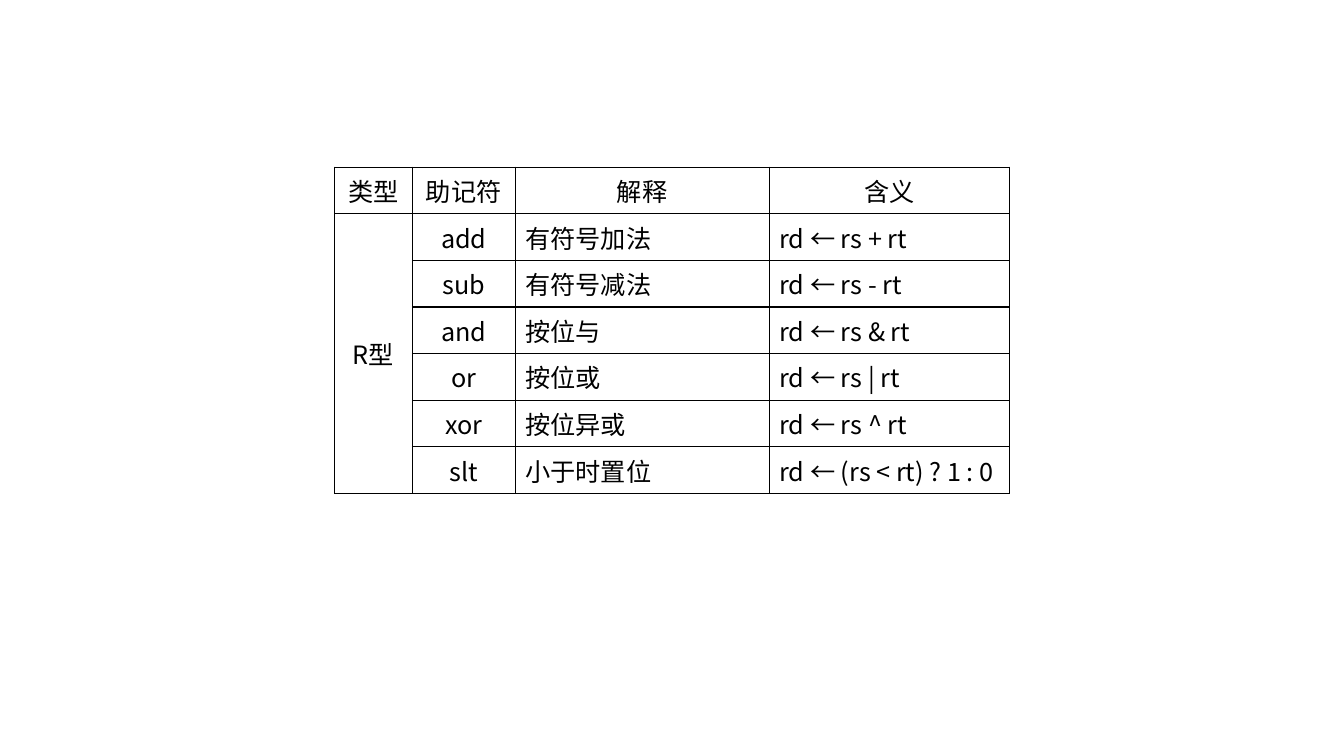
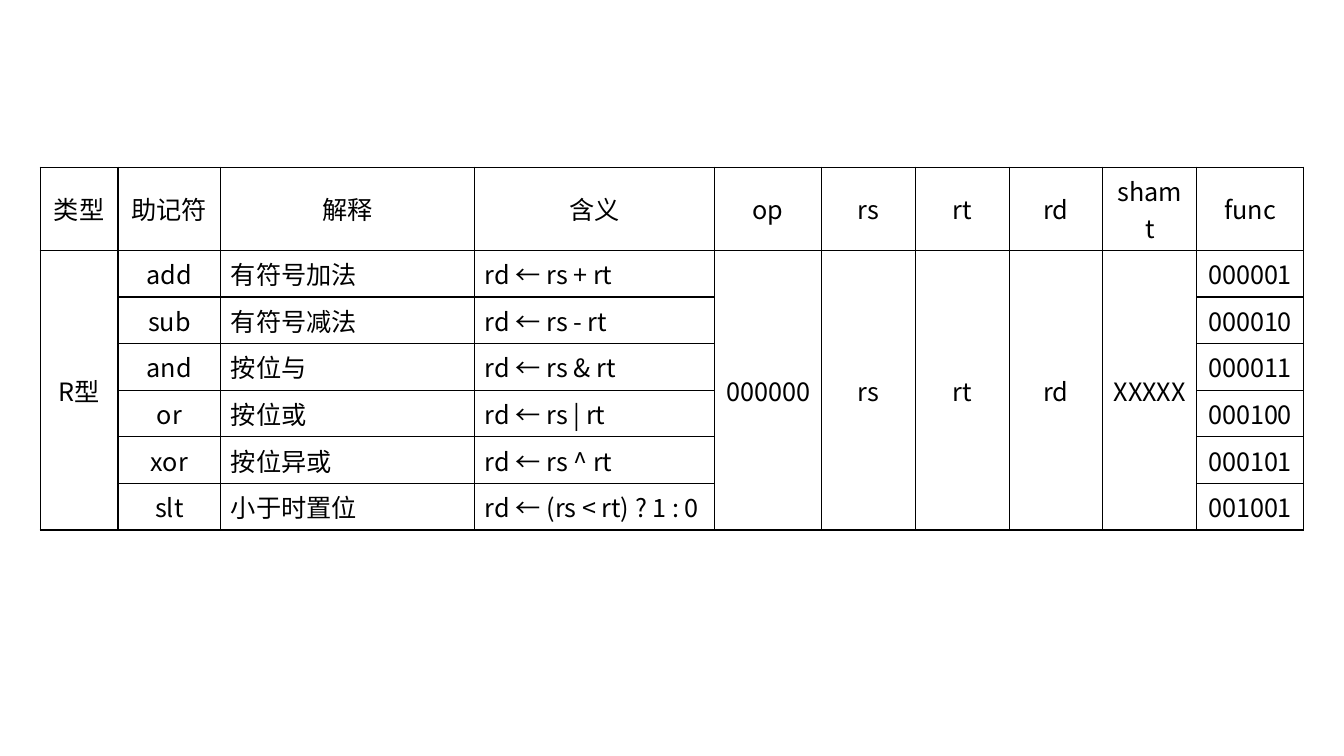
from dataclasses import dataclass

from lxml.etree import SubElement
from pptx import Presentation
from pptx.dml.color import RGBColor
from pptx.enum.text import MSO_ANCHOR, PP_ALIGN
from pptx.oxml import parse_xml
from pptx.oxml.ns import nsdecls, qn
from pptx.slide import Slide
from pptx.table import Table, _Cell
from pptx.util import Inches, Pt

INK = {"text": "000000", "line": "000000"}
FACE = "Noto Sans CJK SC"
FONT = {"name": FACE, "size": Pt(18), "bold": False}
PLAIN = {"first_row": False, "horz_banding": False}
SIDES = ("lnL", "lnR", "lnT", "lnB")
WIDE = 13.33
TOP = 1.66
HIGH = 0.41
ROWS = 7


@dataclass(frozen=True)
class Column:
    head: str
    width: float
    items: tuple[str, ...]
    align: PP_ALIGN = PP_ALIGN.CENTER
    anchor: MSO_ANCHOR = MSO_ANCHOR.TOP


def merged(head: str, width: float, text: str) -> Column:
    return Column(head, width, (text,), anchor=MSO_ANCHOR.MIDDLE)


BASE = (
    merged("类型", 0.77, "R型"),
    Column("助记符", 1.02, ("add", "sub", "and", "or", "xor", "slt")),
    Column(
        "解释", 2.52,
        ("有符号加法", "有符号减法", "按位与", "按位或", "按位异或", "小于时置位"),
        PP_ALIGN.LEFT,
    ),
    Column(
        "含义", 2.38,
        tuple(f"rd ← {rule}" for rule in (
            "rs + rt", "rs - rt", "rs & rt", "rs | rt", "rs ^ rt",
            "(rs < rt) ? 1 : 0",
        )),
        PP_ALIGN.LEFT,
    ),
)
CODE = (
    merged("op", 1.06, "000000"),
    *(merged(name, 0.93, name) for name in ("rs", "rt", "rd")),
    merged("shamt", 0.93, "XXXXX"),
    Column(
        "func", 1.06,
        ("000001", "000010", "000011", "000100", "000101", "001001"),
        anchor=MSO_ANCHOR.MIDDLE,
    ),
)


def frame(cell: _Cell) -> None:
    cell.fill.background()
    props = cell._tc.get_or_add_tcPr()
    for spot, side in enumerate(SIDES):
        props.insert(spot, parse_xml(
            f'<a:{side} {nsdecls("a")} w="{Pt(1)}"><a:solidFill>'
            f'<a:srgbClr val="{INK["line"]}"/></a:solidFill></a:{side}>'
        ))


def write(cell: _Cell, text: str, align: PP_ALIGN, anchor: MSO_ANCHOR) -> None:
    cell.vertical_anchor = anchor
    para = cell.text_frame.paragraphs[0]
    para.alignment = align
    run = para.add_run()
    run.text = text
    for key, value in FONT.items():
        setattr(run.font, key, value)
    run.font.color.rgb = RGBColor.from_string(INK["text"])
    SubElement(run._r.get_or_add_rPr(), qn("a:ea"), typeface=FACE)


def fill(table: Table, spot: int, column: Column) -> None:
    table.columns[spot].width = Inches(column.width)
    write(table.cell(0, spot), column.head, PP_ALIGN.CENTER, MSO_ANCHOR.MIDDLE)
    if len(column.items) == 1:
        table.cell(1, spot).merge(table.cell(ROWS - 1, spot))
    for row, text in enumerate(column.items, 1):
        write(table.cell(row, spot), text, column.align, column.anchor)


def draw(slide: Slide, columns: tuple[Column, ...]) -> None:
    width = sum(column.width for column in columns)
    table = slide.shapes.add_table(
        ROWS, len(columns), Inches((WIDE - width) / 2), Inches(TOP),
        Inches(width), Inches(HIGH * ROWS),
    ).table
    for key, value in PLAIN.items():
        setattr(table, key, value)
    for row in table.rows:
        row.height = Inches(HIGH)
        for cell in row.cells:
            frame(cell)
    for spot, column in enumerate(columns):
        fill(table, spot, column)


def main() -> None:
    deck = Presentation()
    deck.slide_width = Inches(WIDE)
    deck.slide_height = Inches(7.5)
    for columns in (BASE, BASE + CODE):
        draw(deck.slides.add_slide(deck.slide_layouts[6]), columns)
    deck.save("out.pptx")


if __name__ == "__main__":
    main()
